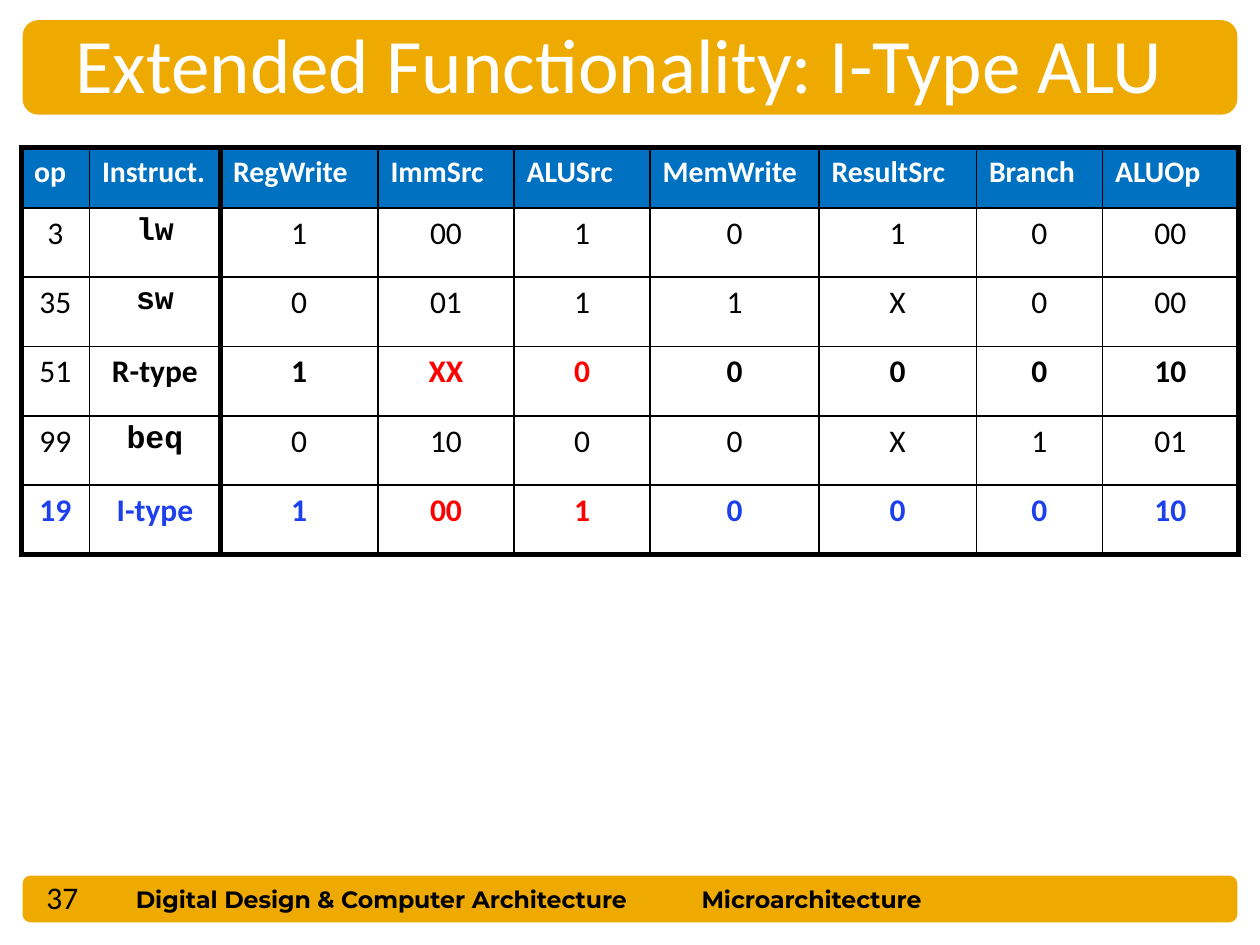
"""Builds the slide on main decoder signals for I-type ALU instructions."""
from dataclasses import dataclass

from lxml.etree import SubElement
from pptx import Presentation
from pptx.dml.color import RGBColor
from pptx.enum.shapes import MSO_SHAPE
from pptx.enum.text import MSO_ANCHOR, PP_ALIGN
from pptx.oxml.ns import qn
from pptx.util import Inches, Pt


@dataclass(frozen=True)
class Theme:
    """Colours, fonts and type sizes of the slide."""
    band: str = "EEAA00"
    header: str = "0070C0"
    white: str = "FFFFFF"
    ink: str = "000000"
    changed: str = "FF0000"
    added: str = "1D40EF"
    body_font: str = "Calibri"
    code_font: str = "Courier New"
    footer_font: str = "Montserrat"
    title_size: float = 44
    header_size: float = 17
    body_size: float = 18
    footer_size: float = 13.5
    thin: float = 1
    thick: float = 3


THEME = Theme()
SIGNALS = [
    ["op", "Instruct.", "RegWrite", "ImmSrc", "ALUSrc", "MemWrite", "ResultSrc", "Branch", "ALUOp"],
    ["3", "lw", "1", "00", "1", "0", "1", "0", "00"],
    ["35", "sw", "0", "01", "1", "1", "X", "0", "00"],
    ["51", "R-type", "1", "XX", "0", "0", "0", "0", "10"],
    ["99", "beq", "0", "10", "0", "0", "X", "1", "01"],
    ["19", "I-type", "1", "00", "1", "0", "0", "0", "10"],
]
COLUMN_WIDTHS = [0.54, 1.04, 1.25, 1.08, 1.08, 1.34, 1.25, 1, 1.08]
ROW_HEIGHTS = [0.48] + [0.55] * 5
INSTRUCTION = 1
CHANGED_COLUMNS = (3, 4)
HANGING = Inches(0.38)


def format_runs(paragraph, size, color, font=THEME.body_font, bold=False):
    """Format every run of a paragraph."""
    for run in paragraph.runs:
        run.font.name = font
        run.font.size = Pt(size)
        run.font.bold = bold
        run.font.color.rgb = RGBColor.from_string(color)


def add_band(slide, top, height):
    """Add a rounded band across the slide."""
    band = slide.shapes.add_shape(
        MSO_SHAPE.ROUNDED_RECTANGLE, Inches(0.18), Inches(top), Inches(9.64), Inches(height))
    band.shadow.inherit = False
    band.fill.solid()
    band.fill.fore_color.rgb = RGBColor.from_string(THEME.band)
    band.line.fill.background()


def add_label(slide, text, bounds, size, color, **style):
    """Add a text box with one line of text."""
    label = slide.shapes.add_textbox(*map(Inches, bounds))
    frame = label.text_frame
    frame.word_wrap = True
    frame.vertical_anchor = MSO_ANCHOR.MIDDLE
    frame.text = text
    format_runs(frame.paragraphs[0], size, color, **style)


def set_borders(cell, row, column):
    """Draw thick rules around the table and after the instruction column."""
    last_row, last_column = len(SIGNALS) - 1, len(COLUMN_WIDTHS) - 1
    thick_edges = {
        "a:lnL": column in (0, INSTRUCTION + 1),
        "a:lnR": column in (INSTRUCTION, last_column),
        "a:lnT": row == 0,
        "a:lnB": row == last_row,
    }
    properties = cell._tc.get_or_add_tcPr()
    for edge, is_thick in thick_edges.items():
        width = Pt(THEME.thick if is_thick else THEME.thin)
        rule = SubElement(properties, qn(edge), w=str(width))
        SubElement(SubElement(rule, qn("a:solidFill")), qn("a:srgbClr"), val=THEME.ink)


def signal_style(row, column):
    """Return the colour, font and weight of a cell below the header."""
    instruction = SIGNALS[row][INSTRUCTION]
    is_type = instruction.endswith("-type")
    is_added = instruction == "I-type"
    color = THEME.added if is_added else THEME.ink
    if is_type and column in CHANGED_COLUMNS:
        color = THEME.changed
    is_code = column == INSTRUCTION and not is_type
    return {
        "color": color,
        "font": THEME.code_font if is_code else THEME.body_font,
        "bold": is_code or is_added or (is_type and column > 0),
    }


def fill_cell(cell, row, column):
    """Write and format one cell of the signal table."""
    set_borders(cell, row, column)
    cell.text_frame.text = SIGNALS[row][column]
    paragraph = cell.text_frame.paragraphs[0]
    indents = paragraph._p.get_or_add_pPr()
    indents.set("marL", str(HANGING))
    indents.set("indent", str(-HANGING))
    if row == 0:
        cell.fill.solid()
        cell.fill.fore_color.rgb = RGBColor.from_string(THEME.header)
        format_runs(paragraph, THEME.header_size, THEME.white, bold=True)
    else:
        cell.fill.background()
        paragraph.alignment = PP_ALIGN.CENTER
        format_runs(paragraph, THEME.body_size, **signal_style(row, column))


def add_signal_table(slide):
    """Add the table of control signals by instruction."""
    signals = slide.shapes.add_table(
        len(SIGNALS), len(COLUMN_WIDTHS), Inches(0.17), Inches(1.17),
        Inches(sum(COLUMN_WIDTHS)), Inches(sum(ROW_HEIGHTS))).table
    signals.first_row = False
    signals.horz_banding = False
    for column, width in zip(signals.columns, COLUMN_WIDTHS):
        column.width = Inches(width)
    for row, height in enumerate(ROW_HEIGHTS):
        signals.rows[row].height = Inches(height)
        for column in range(len(COLUMN_WIDTHS)):
            fill_cell(signals.cell(row, column), row, column)


def main():
    """Build and save the slide."""
    deck = Presentation()
    deck.slide_width, deck.slide_height = Inches(10), Inches(7.5)
    slide = deck.slides.add_slide(deck.slide_layouts[6])
    add_band(slide, 6.95, 0.37)
    add_band(slide, 0.16, 0.75)
    footer = {"size": THEME.footer_size, "color": THEME.ink,
              "font": THEME.footer_font, "bold": True}
    add_label(slide, "Digital Design & Computer Architecture", (0.98, 6.97, 4.44, 0.33), **footer)
    add_label(slide, "Microarchitecture", (5.47, 6.97, 2.94, 0.33), **footer)
    add_label(slide, "Extended Functionality: I-Type ALU", (0.5, 0.08, 9.17, 0.84),
              THEME.title_size, THEME.white)
    add_label(slide, "37", (0.27, 6.92, 0.82, 0.39), THEME.body_size, THEME.ink)
    add_signal_table(slide)
    deck.save("out.pptx")


if __name__ == "__main__":
    main()
